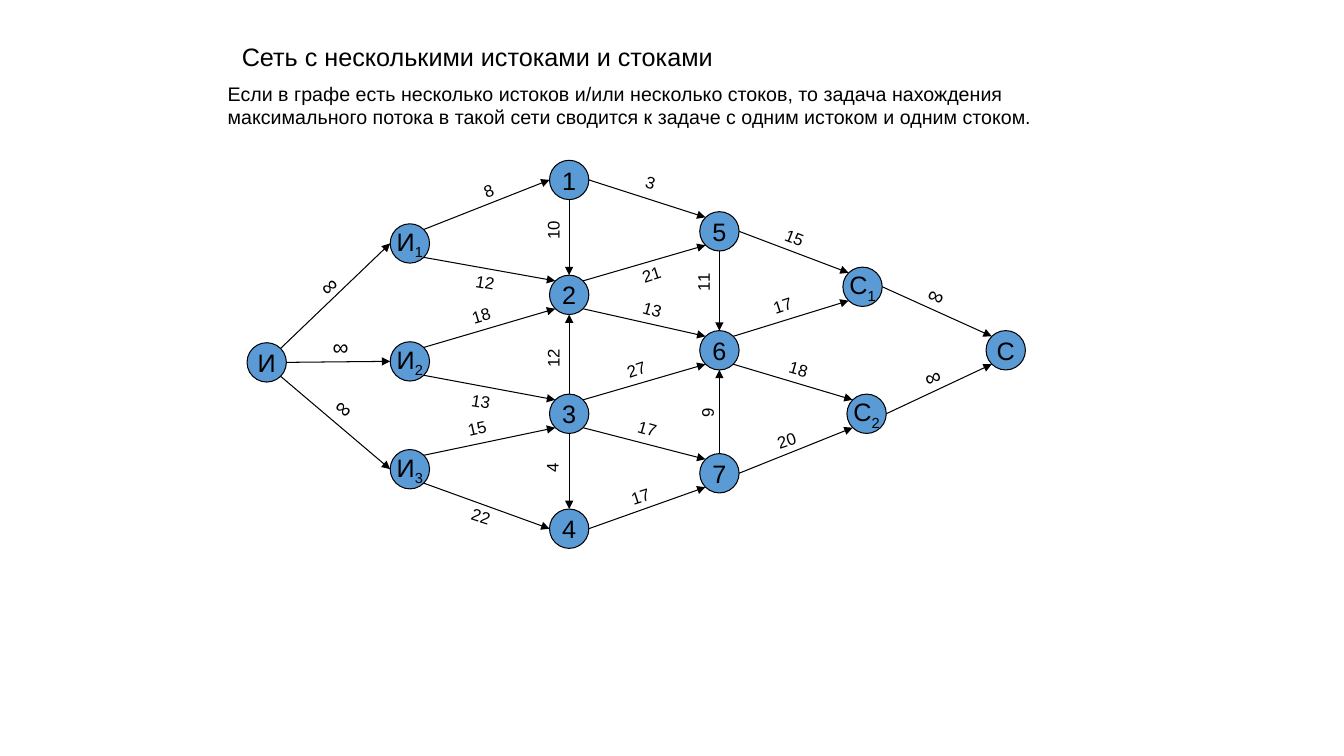
from dataclasses import dataclass

from lxml import etree
from pptx import Presentation
from pptx.dml.color import RGBColor
from pptx.enum.shapes import MSO_CONNECTOR, MSO_SHAPE
from pptx.enum.text import MSO_ANCHOR, MSO_AUTO_SIZE, PP_ALIGN
from pptx.oxml.ns import qn
from pptx.util import Emu, Pt

OVAL, STRAIGHT = MSO_SHAPE.OVAL, MSO_CONNECTOR.STRAIGHT
MIDDLE, CENTER, GROW = MSO_ANCHOR.MIDDLE, PP_ALIGN.CENTER, MSO_AUTO_SIZE.SHAPE_TO_FIT_TEXT

PX = 9144  # 100 px to the inch
FONT = "Arial"
COLORS = {"node": "5B9BD5", "ink": "000000"}
DIAMETER = 39
LINE_WIDTH = Pt(0.75)
DIAGONAL = 0.71
SITES = {
    "N": (0, -1), "S": (0, 1), "W": (-1, 0), "E": (1, 0),
    "NW": (-DIAGONAL, -DIAGONAL), "NE": (DIAGONAL, -DIAGONAL),
    "SW": (-DIAGONAL, DIAGONAL), "SE": (DIAGONAL, DIAGONAL),
}


@dataclass(frozen=True)
class Node:
    name: str
    left: int
    top: int

    def site(self, side: str) -> tuple[int, int]:
        dx, dy = SITES[side]
        radius = DIAMETER / 2
        return px(self.left + radius * (1 + dx)), px(self.top + radius * (1 + dy))


@dataclass(frozen=True)
class Edge:
    start: str
    start_side: str
    end: str
    end_side: str
    capacity: str
    left: int
    top: int
    angle: float


NODES = [
    Node("И", 245, 340),
    Node("И1", 387, 222), Node("И2", 387, 339), Node("И3", 387, 446),
    Node("1", 545, 159), Node("2", 545, 273), Node("3", 545, 391), Node("4", 545, 505),
    Node("5", 694, 210), Node("6", 694, 328), Node("7", 694, 450),
    Node("С1", 836, 265), Node("С2", 840, 391),
    Node("С", 978, 328),
]

# Edge ends, capacity, then left, top and rotation of the capacity label
EDGES = [
    Edge("И", "NE", "И1", "W", "∞", 308, 265, -39.7),
    Edge("И", "E", "И2", "W", "∞", 320, 326, 0),
    Edge("И", "SE", "И3", "W", "∞", 324, 387, 40.5),
    Edge("И1", "NE", "1", "W", "8", 470, 174, -21.4),
    Edge("И1", "SE", "2", "NW", "12", 462, 265, 9.4),
    Edge("И2", "NE", "2", "SW", "18", 458, 298, -16.8),
    Edge("И2", "SE", "3", "NW", "13", 458, 383, 9.4),
    Edge("И3", "NE", "3", "SW", "15", 454, 410, -12.8),
    Edge("И3", "SE", "4", "W", "22", 458, 497, 18),
    Edge("1", "S", "2", "N", "10", 529, 213, -90),
    Edge("3", "N", "2", "S", "12", 529, 340, -90),
    Edge("3", "S", "4", "N", "4", 533, 449, -90),
    Edge("1", "E", "5", "NW", "3", 631, 166, 16),
    Edge("2", "NE", "5", "SW", "21", 627, 257, -18.1),
    Edge("2", "SE", "6", "NW", "13", 628, 292, 16),
    Edge("3", "NE", "6", "SW", "27", 612, 351, -18.1),
    Edge("3", "SE", "7", "NW", "17", 623, 410, 16),
    Edge("4", "E", "7", "SW", "17", 616, 477, -18.1),
    Edge("5", "S", "6", "N", "11", 678, 264, -90),
    Edge("7", "N", "6", "S", "9", 687, 394, -90),
    Edge("5", "E", "С1", "NW", "15", 769, 221, 21.3),
    Edge("6", "NE", "С1", "SW", "17", 757, 288, -18.1),
    Edge("6", "SE", "С2", "NW", "18", 773, 351, 16),
    Edge("7", "E", "С2", "SW", "20", 761, 422, -18.1),
    Edge("С1", "E", "С", "NW", "∞", 911, 275, 21.9),
    Edge("С2", "E", "С", "SW", "∞", 907, 355, -19.9),
]


def px(value: float) -> Emu:
    return Emu(round(value * PX))


def color(name: str) -> RGBColor:
    return RGBColor.from_string(COLORS[name])


def format_runs(p, size: int) -> None:
    for r in p.runs:
        r.font.name, r.font.size = FONT, Pt(size)
        r.font.color.rgb = color("ink")


def add_text(s, text: str, box: tuple[int, int, int, int], size: int, angle: float = 0) -> None:
    sp = s.shapes.add_textbox(*map(px, box))
    sp.rotation = angle
    tf = sp.text_frame
    tf.word_wrap, tf.auto_size = False, GROW
    p = tf.paragraphs[0]
    p.text = text
    format_runs(p, size)


def add_node(s, node: Node) -> None:
    sp = s.shapes.add_shape(OVAL, px(node.left), px(node.top), px(DIAMETER), px(DIAMETER))
    sp.shadow.inherit = False
    sp.fill.solid()
    sp.fill.fore_color.rgb = color("node")
    sp.line.color.rgb, sp.line.width = color("ink"), LINE_WIDTH
    tf = sp.text_frame
    tf.word_wrap, tf.vertical_anchor = False, MIDDLE
    p = tf.paragraphs[0]
    p.text, p.alignment = node.name[0], CENTER
    if node.name[1:]:
        r = p.add_run()
        r.text = node.name[1:]
        r.font._element.set("baseline", "-25000")
    format_runs(p, 18)


def add_edge(s, edge: Edge, nodes: dict[str, Node]) -> None:
    start = nodes[edge.start].site(edge.start_side)
    end = nodes[edge.end].site(edge.end_side)
    line = s.shapes.add_connector(STRAIGHT, *start, *end)
    line.line.color.rgb, line.line.width = color("ink"), LINE_WIDTH
    etree.SubElement(line.line._get_or_add_ln(), qn("a:tailEnd"), type="triangle")
    etree.SubElement(line._element.spPr, qn("a:effectLst"))


def add_capacity(s, edge: Edge) -> None:
    if edge.capacity == "∞":
        width, height, size = 36, 37, 16
    else:
        width, height, size = 19 + 10 * len(edge.capacity), 30, 12
    add_text(s, edge.capacity, (edge.left, edge.top, width, height), size, edge.angle)


def main() -> None:
    prs = Presentation()
    prs.slide_width, prs.slide_height = px(1333), px(750)
    s = prs.slides.add_slide(prs.slide_layouts[6])

    # Heading and explanation
    add_text(s, "Сеть с несколькими истоками и стоками", (230, 36, 488, 40), 18)
    add_text(
        s,
        "Если в графе есть несколько истоков и/или несколько стоков, то задача нахождения\n"
        "максимального потока в такой сети сводится к задаче с одним истоком и одним стоком.",
        (216, 76, 822, 57), 14,
    )

    # Flow network
    nodes = {node.name: node for node in NODES}
    for node in NODES:
        add_node(s, node)
    for edge in EDGES:
        add_edge(s, edge, nodes)
        add_capacity(s, edge)

    prs.save("out.pptx")


if __name__ == "__main__":
    main()
